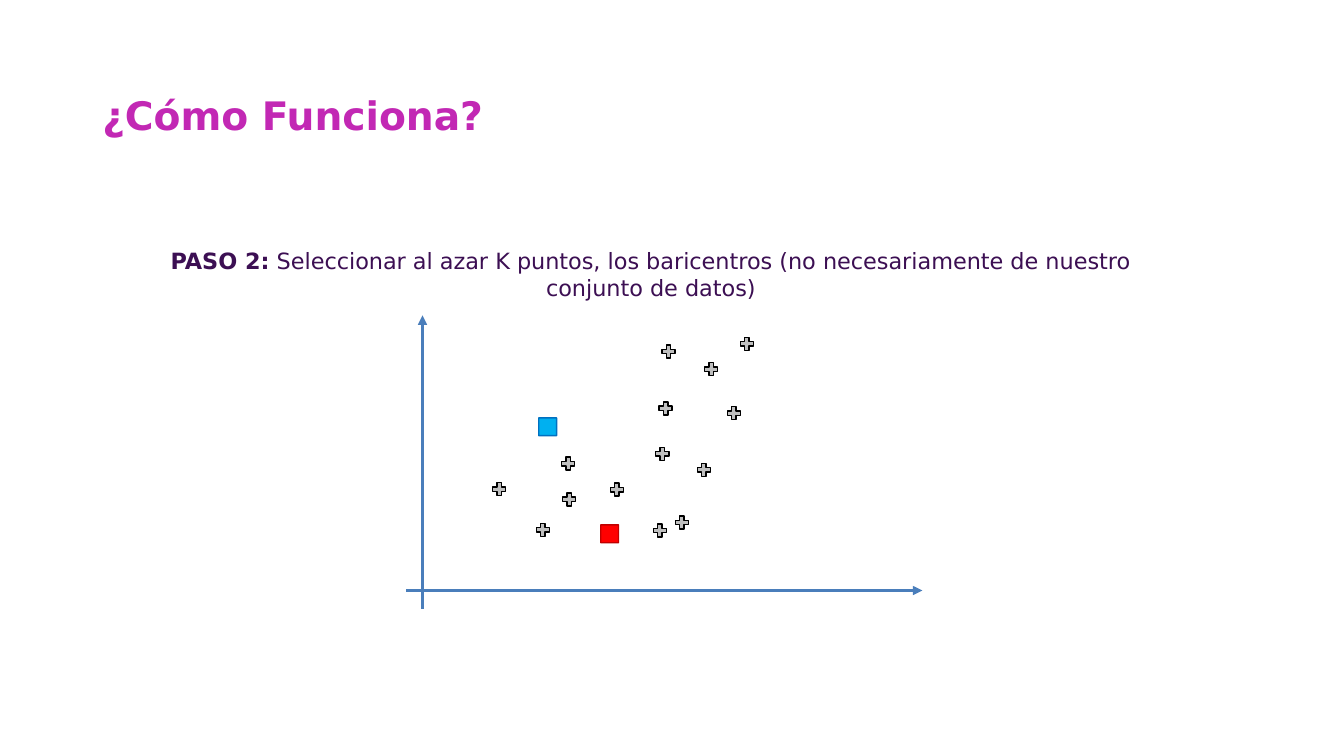
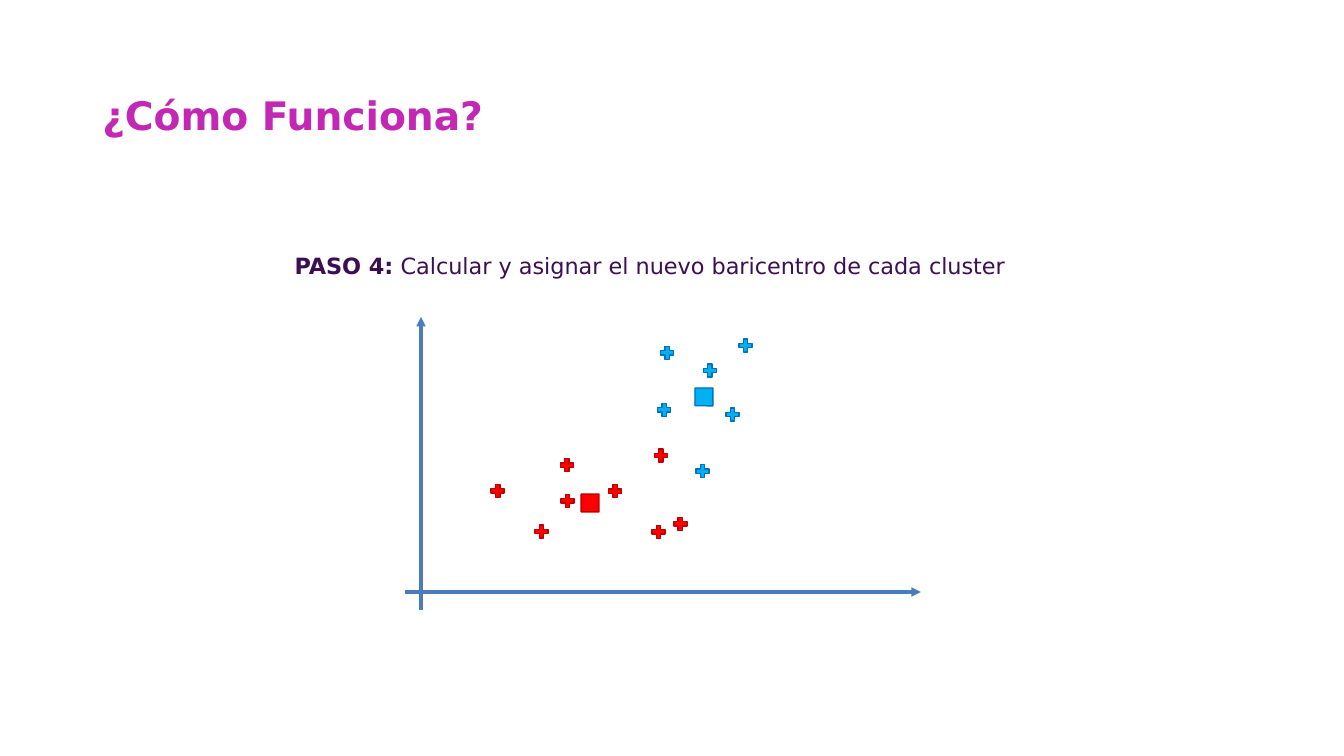
from dataclasses import dataclass

from lxml import etree
from pptx import Presentation
from pptx.dml.color import RGBColor
from pptx.enum.shapes import MSO_CONNECTOR, MSO_SHAPE
from pptx.enum.text import MSO_ANCHOR, MSO_AUTO_SIZE, PP_ALIGN
from pptx.oxml.ns import qn
from pptx.util import Pt

STRAIGHT = MSO_CONNECTOR.STRAIGHT
CROSS, DIAMOND = MSO_SHAPE.CROSS, MSO_SHAPE.DIAMOND
MIDDLE = MSO_ANCHOR.MIDDLE
CENTER, LEFT = PP_ALIGN.CENTER, PP_ALIGN.LEFT
FIT_SHAPE = MSO_AUTO_SIZE.SHAPE_TO_FIT_TEXT
BLANK_LAYOUT = 6

# The slide is a grid of square cells
COLUMNS, ROWS = 64, 36
CELL = Pt(15)


@dataclass(frozen=True)
class Theme:
    font: str = "DejaVu Sans"
    title_size: int = 28
    step_size: int = 16
    title_color: str = "C228B4"
    step_color: str = "3C0F53"
    axis_color: str = "4A7EBB"
    axis_width: float = 2.25
    marker_line: float = 1
    point_side: float = 0.62
    centroid_side: float = 1.2


# Fill and outline of each group
GRAY = ("BFBFBF", "000000")
RED = ("FF0000", "C00000")
BLUE = ("00B0F0", "0070C0")

# Cells to the right of and above the origin of the axes
RED_POINTS = [
    (3.65, 4.82), (5.74, 2.88), (6.94, 6.04), (11.42, 6.5),
    (12.35, 3.24), (6.98, 4.34), (9.25, 4.8), (11.31, 2.86),
]
BLUE_POINTS = [
    (14.83, 8.45), (11.58, 8.67), (13.75, 10.54),
    (15.45, 11.74), (13.4, 5.75), (11.72, 11.38),
]


def cells(count):
    return round(count * CELL)


class Deck:
    """Holds the theme, the presentation and the current slide."""

    def __init__(self, theme):
        self.theme = theme
        self.presentation = Presentation()
        self.presentation.slide_width = cells(COLUMNS)
        self.presentation.slide_height = cells(ROWS)
        self.slide = None
        self.origin = (0, 0)

    def add_slide(self, title):
        layout = self.presentation.slide_layouts[BLANK_LAYOUT]
        self.slide = self.presentation.slides.add_slide(layout)
        theme = self.theme
        frame = self.add_text((4.4, 3.4, 55.2, 4.4), [(title, True)],
                              theme.title_size, theme.title_color, LEFT)
        frame.vertical_anchor = MIDDLE
        frame.paragraphs[0].line_spacing = 0.9

    def add_text(self, box, runs, size, color, alignment):
        """Add one paragraph from (text, bold) runs."""
        shape = self.slide.shapes.add_textbox(*map(cells, box))
        frame = shape.text_frame
        frame.word_wrap = True
        paragraph = frame.paragraphs[0]
        paragraph.alignment = alignment
        for text, bold in runs:
            run = paragraph.add_run()
            run.text = text
            run.font.name = self.theme.font
            run.font.size = Pt(size)
            run.font.bold = bold
            run.font.color.rgb = RGBColor.from_string(color)
        return frame

    def add_step(self, box, label, text):
        frame = self.add_text(box, [(label, True), (text, False)],
                              self.theme.step_size, self.theme.step_color, CENTER)
        frame.auto_size = FIT_SHAPE
        frame.margin_left = frame.margin_right = cells(0.24)
        frame.margin_top = frame.margin_bottom = cells(0.24)

    def plot_position(self, point):
        """Turn plot coordinates into a column and a row of the slide."""
        return self.origin[0] + point[0], self.origin[1] - point[1]

    def add_axes(self, origin):
        self.origin = origin
        self.add_axis((0, -0.86), (0, 13.1))
        self.add_axis((-0.77, 0), (23.8, 0))

    def add_axis(self, start, end):
        ends = self.plot_position(start) + self.plot_position(end)
        axis = self.slide.shapes.add_connector(STRAIGHT, *map(cells, ends))
        axis.line.color.rgb = RGBColor.from_string(self.theme.axis_color)
        axis.line.width = Pt(self.theme.axis_width)
        etree.SubElement(axis.line._get_or_add_ln(), qn("a:tailEnd"), type="triangle")
        etree.SubElement(axis._element.spPr, qn("a:effectLst"))

    def add_marker(self, kind, center, side, colors):
        column, row = self.plot_position(center)
        box = (column - side / 2, row - side / 2, side, side)
        marker = self.slide.shapes.add_shape(kind, *map(cells, box))
        marker.shadow.inherit = False
        fill, outline = colors
        marker.fill.solid()
        marker.fill.fore_color.rgb = RGBColor.from_string(fill)
        marker.line.color.rgb = RGBColor.from_string(outline)
        marker.line.width = Pt(self.theme.marker_line)
        return marker

    def add_points(self, points, colors):
        for point in points:
            marker = self.add_marker(CROSS, point, self.theme.point_side, colors)
            marker.adjustments[0] = 0.33

    def add_centroid(self, center, colors):
        marker = self.add_marker(DIAMOND, center, self.theme.centroid_side, colors)
        marker.rotation = 315


def add_step_slide(deck, step, origin, groups, centroids):
    """Add a slide with a step text, axes, point groups and centroids."""
    deck.add_slide("¿Cómo Funciona?")
    deck.add_axes(origin)
    for points, colors in groups:
        deck.add_points(points, colors)
    for center, colors in centroids:
        deck.add_centroid(center, colors)
    deck.add_step(*step)


def main():
    deck = Deck(Theme())
    add_step_slide(
        deck,
        step=((7.2, 11.52, 47.6, 3.07), "PASO 2:",
              " Seleccionar al azar K puntos, los baricentros "
              "(no necesariamente de nuestro conjunto de datos)"),
        origin=(20.12, 28.12),
        groups=[(RED_POINTS + BLUE_POINTS, GRAY)],
        centroids=[((8.91, 2.7), RED), ((5.96, 7.8), BLUE)],
    )
    add_step_slide(
        deck,
        step=((6.96, 11.76, 48, 1.78), "PASO 4:",
              " Calcular y asignar el nuevo baricentro de cada cluster"),
        origin=(20.05, 28.19),
        groups=[(RED_POINTS, RED), (BLUE_POINTS, BLUE)],
        centroids=[((13.47, 9.29), BLUE), ((8.05, 4.24), RED)],
    )
    deck.presentation.save("out.pptx")


if __name__ == "__main__":
    main()
